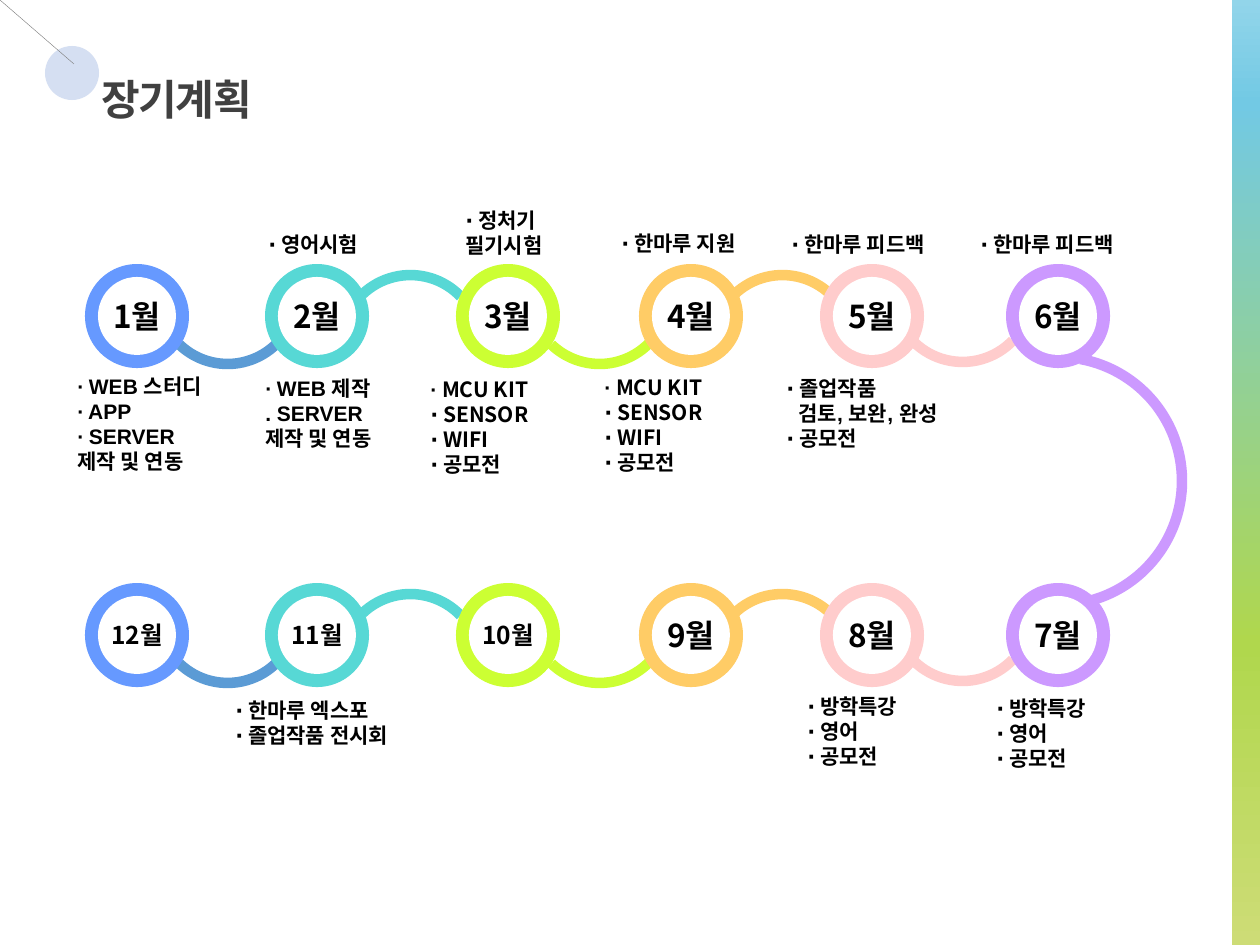
from lxml import etree
from pptx import Presentation
from pptx.dml.color import RGBColor
from pptx.enum.shapes import MSO_CONNECTOR, MSO_SHAPE
from pptx.enum.text import MSO_ANCHOR, MSO_AUTO_SIZE, PP_ALIGN
from pptx.oxml.ns import qn
from pptx.util import Emu, Pt

OVAL, ARC, RECT = MSO_SHAPE.OVAL, MSO_SHAPE.ARC, MSO_SHAPE.RECTANGLE
STRAIGHT = MSO_CONNECTOR.STRAIGHT
CENTER, LEFT = PP_ALIGN.CENTER, PP_ALIGN.LEFT
MIDDLE, TOP = MSO_ANCHOR.MIDDLE, MSO_ANCHOR.TOP
GROW = MSO_AUTO_SIZE.SHAPE_TO_FIT_TEXT


class Theme:
    sans, cjk = "Arial", "Noto Sans CJK KR"
    ink, title, marker, white, rule = "000000", "404040", "D5DFF2", "FFFFFF", "808080"
    rings = ["6699FF", "57D8D5", "CCFF33", "FFCC66", "FFCCCC", "CC99FF"]
    links = ["5B9BD5", "57D8D5", "CCFF33", "FFCC66", "FFCCCC"]
    side = [(0, "92D5EA"), (11, "72C9E4"), (68, "B0D74D"), (100, "CDDC76")]
    title_size, month_size, long_month_size, note_size = 24, 18, 14, 12
    link_width, hairline = 6, 0.25


def px(length):
    return Emu(round(length * 914400 / 126))


def add_part(shapes, kind, box, fill=None, line=None, width=1):
    part = shapes.add_shape(kind, *map(px, box))
    part.shadow.inherit = False
    for paint, color in ((part.fill, fill), (part.line.fill, line)):
        if color is None:
            paint.background()
        else:
            paint.solid()
            paint.fore_color.rgb = RGBColor.from_string(color)
    if line:
        part.line.width = Pt(width)
    return part


def set_gradient(part, stops):
    gradient = etree.Element(qn("a:gradFill"), rotWithShape="1")
    stop_list = etree.SubElement(gradient, qn("a:gsLst"))
    for position, color in stops:
        stop = etree.SubElement(stop_list, qn("a:gs"), pos=str(position * 1000))
        etree.SubElement(stop, qn("a:srgbClr"), val=color)
    etree.SubElement(gradient, qn("a:lin"), ang="5400000", scaled="0")
    properties = part._element.spPr
    properties.replace(properties.find(qn("a:noFill")), gradient)


def add_run(paragraph, text, size, font, color=Theme.ink):
    run = paragraph.add_run()
    run.text = text
    run.font.size, run.font.name, run.font.bold = Pt(size), font, True
    run.font.color.rgb = RGBColor.from_string(color)
    return run


def add_textbox(shapes, box, wrap=True):
    frame = shapes.add_textbox(*map(px, box)).text_frame
    frame.word_wrap, frame.auto_size, frame.vertical_anchor = wrap, GROW, TOP
    return frame


def draw_header(slide, left, top):
    # Plain marker with a hairline from the corner
    add_part(slide.shapes, OVAL, (left + 45, top + 46, 54, 54), fill=Theme.marker)
    ray = slide.shapes.add_connector(STRAIGHT, *map(px, (left, top, left + 74, top + 64)))
    ray.line.width = Pt(Theme.hairline)
    ray.line.color.rgb = RGBColor.from_string(Theme.rule)
    etree.SubElement(ray._element.spPr, qn("a:effectLst"))
    heading = add_textbox(slide.shapes, (left + 89, top + 67, 189, 63), wrap=False)
    run = add_run(heading.paragraphs[0], "장기계획", Theme.title_size, Theme.sans, Theme.title)
    run._r.get_or_add_rPr().set("spc", "-80")


def draw_turn(slide, left, top, size):
    # Wide arc leading from June down to July
    turn = add_part(slide.shapes, ARC, (left, top, size, size), line=Theme.rings[-1],
                    width=Theme.link_width)
    turn.rotation = 48.1
    for index, degrees in enumerate((232.25, 26.09)):
        turn.adjustments[index] = degrees * 0.6


def draw_month(slide, left, top, month, color):
    shapes = slide.shapes.add_group_shape().shapes
    add_part(shapes, OVAL, (left, top, 104, 104), fill=color)
    face = add_part(shapes, OVAL, (left + 13, top + 13, 78, 78), fill=Theme.white)
    frame = face.text_frame
    frame.margin_left = frame.margin_right = frame.margin_top = frame.margin_bottom = 0
    frame.word_wrap, frame.vertical_anchor = True, MIDDLE
    frame.paragraphs[0].alignment = CENTER
    size = Theme.month_size if month < 10 else Theme.long_month_size
    add_run(frame.paragraphs[0], f"{month}월", size, Theme.cjk)


def draw_month_row(slide, top, months):
    columns = [85, 265, 456, 639, 820, 1006]
    # Links swing below and above the row in turn
    for index, (left, color) in enumerate(zip([158, 341, 530, 713, 893], Theme.links)):
        above = index % 2
        rise = 11 if above else -39 if index < 4 else -41
        link = add_part(slide.shapes, ARC, (left, top + rise, 139, 139), line=color,
                        width=Theme.link_width)
        link.rotation = 316.3 if above else 133.9
    for left, month, color in zip(columns, months, Theme.rings):
        draw_month(slide, left, top, month, color)


def draw_note(slide, left, top, width, lines):
    frame = add_textbox(slide.shapes, (left, top, width, 13 + 25 * len(lines)))
    for index, line in enumerate(lines):
        paragraph = frame.add_paragraph() if index else frame.paragraphs[0]
        paragraph.alignment = LEFT
        if line == REVIEW:
            paragraph._p.get_or_add_pPr().set("marL", str(px(12)))
        runs = [(line, Theme.sans)] if isinstance(line, str) else line
        for text, font in runs:
            add_run(paragraph, text, Theme.note_size, font)


REVIEW = "검토, 보완, 완성"
FEEDBACK = ["∙ 한마루 피드백"]
SUMMER = ["∙ 방학특강", "∙ 영어", "∙ 공모전"]
HARDWARE = [[("∙ ", Theme.sans), ("MCU KIT", Theme.cjk)], [("∙ SENSOR", Theme.cjk)],
            [("∙ WIFI", Theme.cjk)], "∙ 공모전"]
NOTES = [  # left, top, width, lines
    (65, 367, 163, ["∙ WEB 스터디", "∙ APP", "∙ SERVER", "제작 및 연동"]),
    (253, 369, 163, ["∙ WEB 제작", ". SERVER", "제작 및 연동"]),
    (256, 225, 125, ["∙ 영어시험"]),
    (453, 201, 125, ["∙ 정처기", "필기시험"]),
    (418, 370, 197, HARDWARE),
    (592, 368, 197, HARDWARE),
    (774, 369, 197, ["∙ 졸업작품", REVIEW, "∙ 공모전"]),
    (609, 224, 154, ["∙ 한마루 지원"]),
    (779, 225, 186, FEEDBACK),
    (968, 225, 186, FEEDBACK),
    (223, 691, 194, ["∙ 한마루 엑스포", "∙ 졸업작품 전시회"]),
    (984, 689, 154, SUMMER),
    (795, 687, 154, SUMMER),
]


def main():
    deck = Presentation()
    deck.slide_width, deck.slide_height = px(1260), px(945)
    slide = deck.slides.add_slide(deck.slide_layouts[6])
    # Side band
    set_gradient(add_part(slide.shapes, RECT, (1232, 0, 28, 945)), Theme.side)
    draw_header(slide, 0, 0)
    # Year plan: January to June, then back from July to December
    draw_turn(slide, 934, 357, 248)
    draw_month_row(slide, 264, range(1, 7))
    draw_month_row(slide, 583, range(12, 6, -1))
    for note in NOTES:
        draw_note(slide, *note)
    deck.save("out.pptx")


if __name__ == "__main__":
    main()
